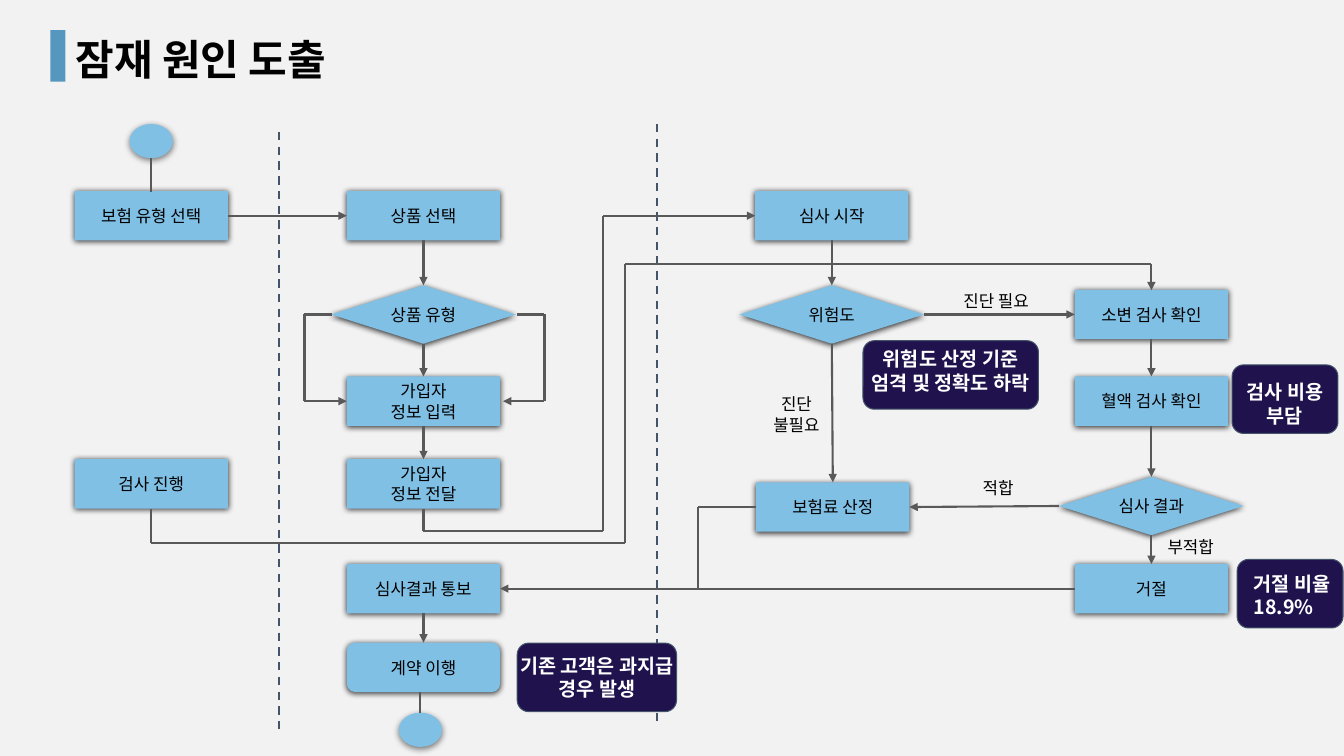
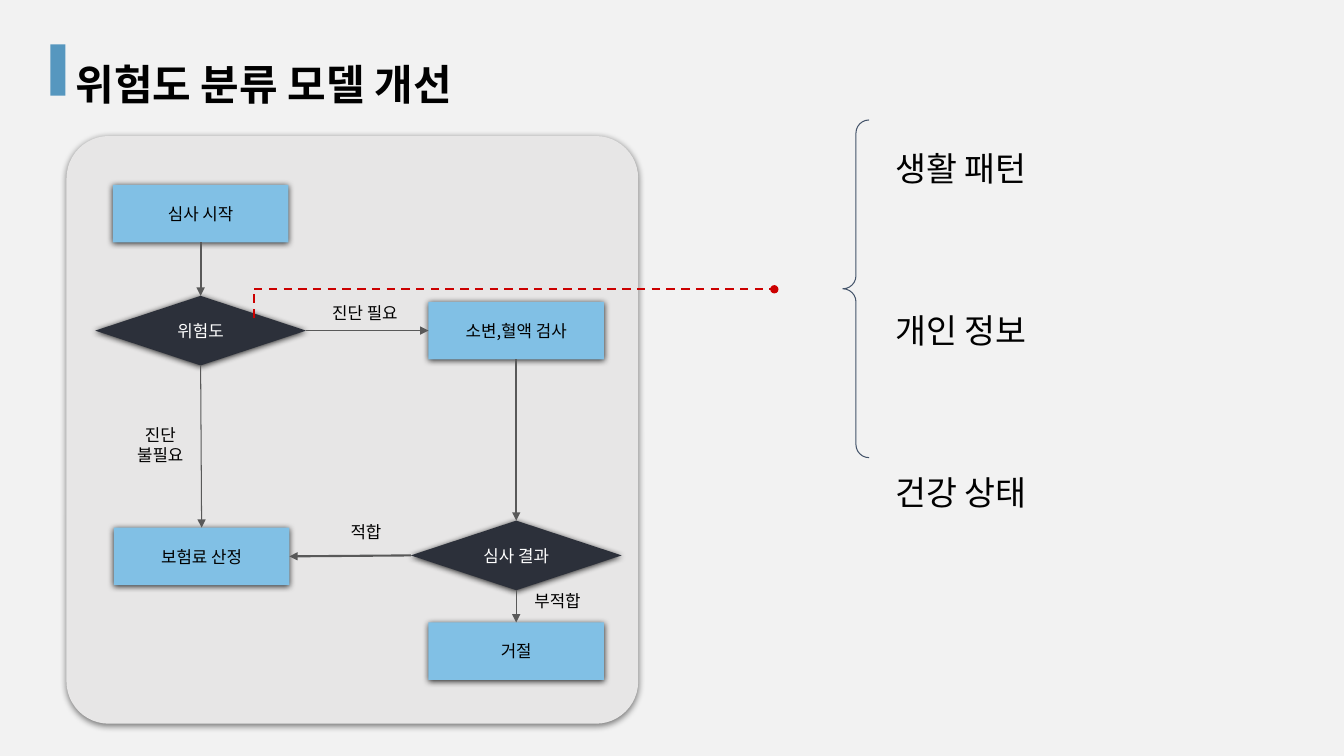
from pptx import Presentation
from pptx.dml.color import RGBColor
from pptx.enum.dml import MSO_LINE
from pptx.enum.shapes import MSO_CONNECTOR, MSO_SHAPE
from pptx.enum.text import MSO_ANCHOR, PP_ALIGN
from pptx.oxml.ns import qn
from pptx.util import Inches, Pt
from lxml.etree import SubElement

FONT = "Noto Sans CJK KR"
COLORS = {
    "bg": "F2F2F2", "panel": "E7E6E6", "node": "81C0E5", "decision": "2C303A",
    "callout": "20124D", "bar": "5697BF", "flow": "595959", "edge": "44546A",
    "accent": "CC0000", "black": "000000", "white": "FFFFFF",
}
TOP, LEFT, BOTTOM, RIGHT = range(4)  # connection sites
DIAMOND = MSO_SHAPE.FLOWCHART_DECISION


def rgb(name):
    return RGBColor.from_string(COLORS[name])


# Text
def write(tf, lines, size, color="black", bold=False, align=PP_ALIGN.CENTER,
          anchor=MSO_ANCHOR.TOP, insets=(0, 0, 0, 0), wrap=True, spacing=None, gap=0):
    tf.word_wrap = wrap
    tf.vertical_anchor = anchor
    tf.margin_left, tf.margin_top, tf.margin_right, tf.margin_bottom = map(Inches, insets)
    for i, line in enumerate(lines):
        p = tf.paragraphs[0] if i == 0 else tf.add_paragraph()
        p.alignment = align
        if spacing:
            p.line_spacing = spacing
        if i and gap:
            p.space_before = Pt(gap)
        r = p.add_run()
        r.text = line
        r.font.size, r.font.bold, r.font.name = Pt(size), bold, FONT
        r.font.color.rgb = rgb(color)
        SubElement(r.font._element, qn("a:ea"), typeface=FONT)


def text_box(s, x, y, w, h, lines, size, **style):
    write(s.shapes.add_textbox(*map(Inches, (x, y, w, h))).text_frame, lines, size, **style)


def label(s, cx, y, *lines):
    text_box(s, cx - 0.5, y, 1, 0.22 * len(lines), lines, 12)


# Shapes
def add_shadow(sp, alpha, dist):
    effects = sp._element.spPr.find(qn("a:effectLst"))
    shadow = SubElement(effects, qn("a:outerShdw"), blurRad=str(Pt(4.5)),
                        dist=str(Pt(dist)), dir="5400000", algn="t", rotWithShape="0")
    color = SubElement(shadow, qn("a:srgbClr"), val=COLORS["black"])
    SubElement(color, qn("a:alpha"), val=str(alpha * 1000))


def shape(s, kind, x, y, w, h, fill=None, line=None, shadow=None, adj=()):
    sp = s.shapes.add_shape(kind, *map(Inches, (x, y, w, h)))
    sp.shadow.inherit = False
    for i, value in enumerate(adj):
        sp.adjustments[i] = value
    if fill:
        sp.fill.solid()
        sp.fill.fore_color.rgb = rgb(fill)
    else:
        sp.fill.background()
    if line:
        sp.line.color.rgb = rgb(line)
        sp.line.width = Pt(0.75)
    else:
        sp.line.fill.background()
    if shadow:
        add_shadow(sp, *shadow)
    return sp


def node(s, size, cx, cy, *lines, kind=MSO_SHAPE.RECTANGLE, fill="node", color="black"):
    w, h = size
    sp = shape(s, kind, cx - w / 2, cy - h / 2, w, h, fill, shadow=(80, 0.8))
    write(sp.text_frame, lines, 12, color, anchor=MSO_ANCHOR.MIDDLE, insets=(0.01,) * 4)
    return sp


def terminal(s, cx, cy):
    shape(s, MSO_SHAPE.OVAL, cx - 0.215, cy - 0.17, 0.43, 0.34, "node", shadow=(50, 1.5))


def callout(s, x, y, w, inset, *lines, align=PP_ALIGN.CENTER):
    sp = shape(s, MSO_SHAPE.ROUNDED_RECTANGLE, x, y, w, 0.68, "callout", "edge")
    left = align == PP_ALIGN.LEFT
    write(sp.text_frame, lines, 14, "white", True, align,
          insets=(0.13 if left else 0, inset, 0, 0), wrap=left)


def title(s, text, bar_y, y):
    shape(s, MSO_SHAPE.RECTANGLE, 0.5, bar_y, 0.15, 0.51, "bar")
    text_box(s, 0.65, y, 7, 0.6, [text], 30, bold=True, align=PP_ALIGN.LEFT, insets=(0.1,) * 4)


# Lines
def segment(s, start, end, color="flow", weight=1.5, head=None, dash=False):
    c = s.shapes.add_connector(MSO_CONNECTOR.STRAIGHT, *map(Inches, (*start, *end)))
    c.line.color.rgb = rgb(color)
    c.line.width = Pt(weight)
    if dash:
        c.line.dash_style = MSO_LINE.DASH
    if head:
        SubElement(c.line._get_or_add_ln(), qn("a:tailEnd"), type=head)
    SubElement(c._element.spPr, qn("a:effectLst"))
    return c


def route(s, *points, head=None, **style):
    for i in range(1, len(points)):
        segment(s, points[i - 1], points[i],
                head=head if i == len(points) - 1 else None, **style)


def link(s, a, b, out=BOTTOM, into=TOP, weight=1.5):
    c = segment(s, (0, 0), (1, 1), weight=weight, head="triangle")
    c.begin_connect(a, out)
    c.end_connect(b, into)


# Slides
def cause_slide(prs):
    s = prs.slides.add_slide(prs.slide_layouts[6])
    title(s, "잠재 원인 도출", 0.3, 0.23)

    # Lane dividers and callouts
    for x, y in ((2.77, 1.31), (6.52, 1.23)):
        segment(s, (x, y), (x, y + 5.95), color="edge", dash=True)
    callout(s, 8.56, 3.38, 1.74, 0.03, "위험도 산정 기준", "엄격 및 정확도 하락")
    callout(s, 12.22, 3.62, 1.05, 0.12, "검사 비용", "부담")
    callout(s, 12.27, 5.55, 1.05, 0.09, "거절 비율", "18.9%", align=PP_ALIGN.LEFT)
    callout(s, 5.13, 6.38, 1.58, 0.07, "기존 고객은 과지급", "경우 발생")

    # Nodes by lane
    box, diamond = (1.52, 0.49), (1.83, 0.58)
    customer, sales, review, test = 1.5, 4.2, 8.25, 11.42
    start_y, type_y, input_y, send_y, result_y = 2.14, 3.12, 3.98, 4.8, 5.84
    insurance = node(s, box, customer, start_y, "보험 유형 선택")
    node(s, box, customer, send_y, "검사 진행")
    product = node(s, box, sales, start_y, "상품 선택")
    product_type = node(s, diamond, sales, type_y, "상품 유형", kind=DIAMOND)
    info = node(s, box, sales, input_y, "가입자", "정보 입력")
    send = node(s, box, sales, send_y, "가입자", "정보 전달")
    notice = node(s, box, sales, result_y, "심사결과 통보")
    contract = node(s, box, sales, 6.62, "계약 이행", kind=MSO_SHAPE.ROUNDED_RECTANGLE)
    begin = node(s, box, review, start_y, "심사 시작")
    risk = node(s, diamond, review, type_y, "위험도", kind=DIAMOND)
    premium = node(s, box, review + 0.01, 5.03, "보험료 산정")
    urine = node(s, box, test, type_y, "소변 검사 확인")
    blood = node(s, box, test, input_y, "혈액 검사 확인")
    verdict = node(s, diamond, test, 5.02, "심사 결과", kind=DIAMOND)
    reject = node(s, box, test, result_y, "거절")
    terminal(s, customer, 1.4)
    terminal(s, 4.17, 7.24)

    # Straight flow
    for a, b in ((product, product_type), (product_type, info), (info, send),
                 (notice, contract), (begin, risk), (risk, premium),
                 (urine, blood), (blood, verdict), (verdict, reject)):
        link(s, a, b)
    for a, b in ((insurance, product), (risk, urine)):
        link(s, a, b, RIGHT, LEFT)
    for a, b in ((verdict, premium), (reject, notice)):
        link(s, a, b, LEFT, RIGHT)

    # Bent flow
    arrow = "triangle"
    route(s, (customer, 1.57), (customer, 1.9))
    route(s, (4.17, 6.87), (4.17, 7.07))
    route(s, (3.29, type_y), (3.02, type_y), (3.02, input_y), (3.44, input_y), head=arrow)
    route(s, (5.13, type_y), (5.4, type_y), (5.4, input_y), (4.99, input_y), head=arrow)
    route(s, (sales, 5.05), (sales, 5.27), (5.98, 5.27), (5.98, start_y),
          (7.49, start_y), head=arrow)
    route(s, (customer, 5.05), (customer, 5.39), (6.2, 5.39), (6.2, 2.62),
          (test, 2.62), (test, 2.88), head=arrow)
    route(s, (7.5, 5.03), (6.92, 5.03), (6.92, result_y))

    label(s, 9.88, 2.88, "진단 필요")
    label(s, 7.9, 3.91, "진단", "불필요")
    label(s, 9.9, 4.74, "적합")
    label(s, 11.81, 5.32, "부적합")


def model_slide(prs):
    s = prs.slides.add_slide(prs.slide_layouts[6])
    title(s, "위험도 분류 모델 개선", 0.44, 0.48)
    shape(s, MSO_SHAPE.ROUNDED_RECTANGLE, 0.66, 1.35, 5.67, 5.83, "panel",
          shadow=(50, 1.5), adj=[0.074])

    # Review flow
    box, diamond = (1.74, 0.57), (2.09, 0.69)
    dark = {"kind": DIAMOND, "fill": "decision", "color": "white"}
    left, right = 1.99, 5.12
    begin = node(s, box, left, 2.12, "심사 시작")
    risk = node(s, diamond, left, 3.28, "위험도", **dark)
    premium = node(s, box, left + 0.01, 5.52, "보험료 산정")
    tests = node(s, box, right, 3.28, "소변,혈액 검사")
    verdict = node(s, diamond, right, 5.51, "심사 결과", **dark)
    reject = node(s, box, right, 6.46, "거절")
    link(s, begin, risk)
    link(s, risk, premium, weight=0.75)
    link(s, risk, tests, RIGHT, LEFT, weight=0.75)
    link(s, tests, verdict)
    link(s, verdict, premium, LEFT, RIGHT)
    link(s, verdict, reject, weight=0.75)
    label(s, 3.62, 3, "진단 필요")
    label(s, 1.59, 4.21, "진단", "불필요")
    label(s, 3.63, 5.18, "적합")
    label(s, 5.53, 5.86, "부적합")

    # Model inputs
    route(s, (2.52, 3.15), (2.52, 2.87), (7.68, 2.87), color="accent", dash=True, head="oval")
    shape(s, MSO_SHAPE.LEFT_BRACE, 8.36, 1.19, 0.26, 3.35, line="edge", adj=[0.5, 0.5])
    text_box(s, 8.78, 0.97, 2.38, 3.79, ["생활 패턴", "개인 정보", "건강 상태"], 24,
             align=PP_ALIGN.LEFT, insets=(0.1,) * 4, spacing=2, gap=58)


def main():
    prs = Presentation()
    prs.slide_width, prs.slide_height = Inches(13.33), Inches(7.5)
    background = prs.slide_master.background.fill
    background.solid()
    background.fore_color.rgb = rgb("bg")
    cause_slide(prs)
    model_slide(prs)
    prs.save("out.pptx")


if __name__ == "__main__":
    main()
